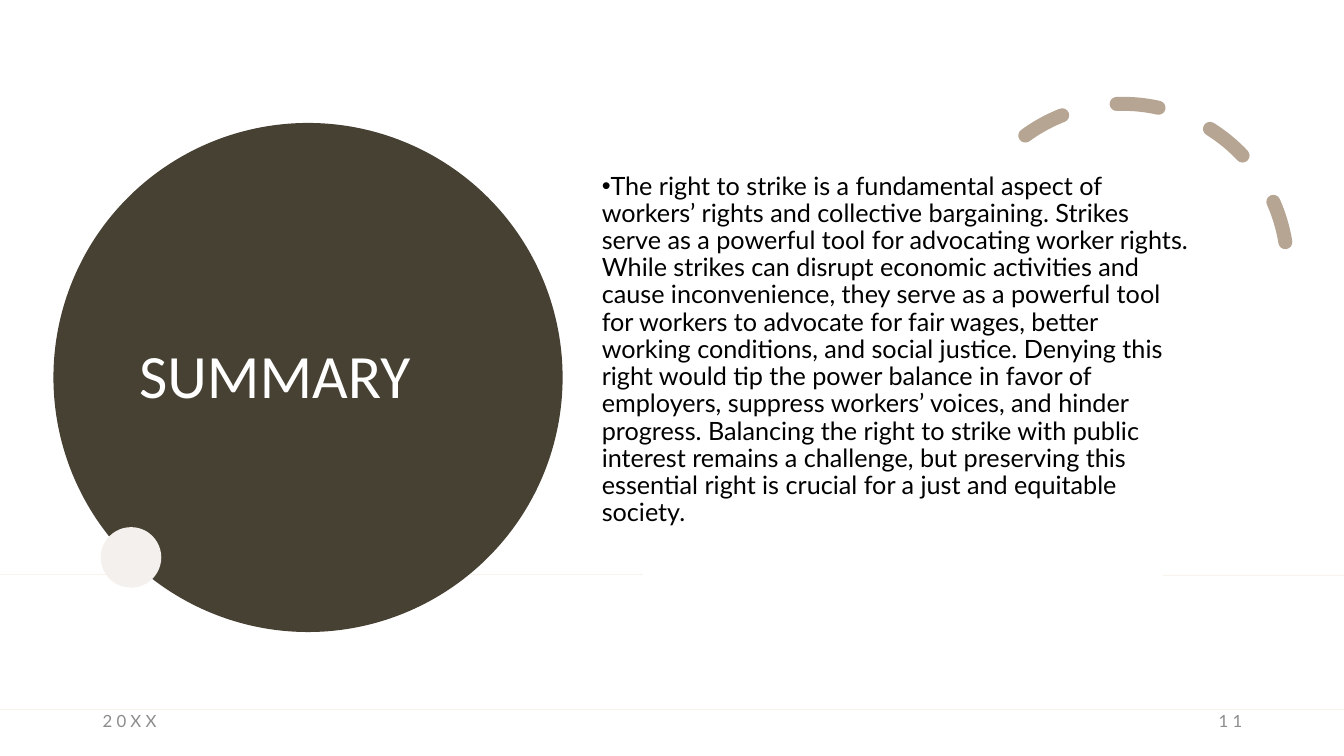
import pptx
import pptx.dml.color
import pptx.enum.dml
import pptx.enum.shapes
import pptx.enum.text
import pptx.oxml
import pptx.oxml.ns
import pptx.util

Inches = pptx.util.Inches
Pt = pptx.util.Pt
ALIGN = pptx.enum.text.PP_ALIGN
ANCHOR = pptx.enum.text.MSO_ANCHOR
SHAPE = pptx.enum.shapes.MSO_SHAPE

COLORS = {
    "rule": "F8F4EC",
    "disc": "474134",
    "dot": "F4F0ED",
    "arc": "B6A592",
    "title": "FFFFFF",
    "body": "000000",
    "footer": "8C8C8C",
}
SUMMARY = (
    "The right to strike is a fundamental aspect of workers’ rights and collective bargaining. "
    "Strikes serve as a powerful tool for advocating worker rights. While strikes can disrupt "
    "economic activities and cause inconvenience, they serve as a powerful tool for workers to "
    "advocate for fair wages, better working conditions, and social justice. Denying this right "
    "would tip the power balance in favor of employers, suppress workers’ voices, and hinder "
    "progress. Balancing the right to strike with public interest remains a challenge, but "
    "preserving this essential right is crucial for a just and equitable society."
)


def rgb(name):
    return pptx.dml.color.RGBColor.from_string(COLORS[name])


def write_text(shape, text, *, size, color, font="Lato", align=ALIGN.LEFT, anchor=ANCHOR.MIDDLE,
               line_spacing=1.0, before=0, after=0, tracking=0):
    """Fill a shape with one formatted paragraph and return that paragraph."""
    frame = shape.text_frame
    frame.word_wrap = True
    frame.auto_size = pptx.enum.text.MSO_AUTO_SIZE.NONE
    frame.vertical_anchor = anchor
    paragraph = frame.paragraphs[0]
    paragraph.alignment = align
    paragraph.line_spacing = line_spacing
    paragraph.space_before = Pt(before)
    paragraph.space_after = Pt(after)
    run = paragraph.add_run()
    run.text = text
    run.font.size = Pt(size)
    run.font.name = font
    run.font.color.rgb = rgb(color)
    if tracking:
        run.font._element.set("spc", str(tracking * 100))
    return paragraph


presentation = pptx.Presentation()
presentation.slide_width = Inches(13.33)
presentation.slide_height = Inches(7.5)
slide = presentation.slides.add_slide(presentation.slide_layouts[5])
shapes = slide.shapes
title = shapes.title

# Horizontal rules
for start, end, y in [(0, 13.33, 7.04), (0, 6.38, 5.7), (11.53, 13.33, 5.71)]:
    rule = shapes.add_connector(pptx.enum.shapes.MSO_CONNECTOR.STRAIGHT,
                                Inches(start), Inches(y), Inches(end), Inches(y))
    rule.line.color.rgb = rgb("rule")
    rule.line.width = Pt(1.25)
    rule._element.spPr.append(pptx.oxml.parse_xml(
        f'<a:effectLst {pptx.oxml.ns.nsdecls("a")}/>'))

# Large disc behind the title, small dot on its edge
for left, top, diameter, color in [(0.53, 1.22, 5.05, "disc"), (1, 5.23, 0.6, "dot")]:
    circle = shapes.add_shape(SHAPE.OVAL, Inches(left), Inches(top),
                              Inches(diameter), Inches(diameter))
    circle.shadow.inherit = False
    circle.fill.solid()
    circle.fill.fore_color.rgb = rgb(color)
    circle.line.fill.background()

# Dashed arc with round caps
arc = shapes.add_shape(SHAPE.ARC, Inches(9.5), Inches(1.03), Inches(3.27), Inches(3.27))
arc.shadow.inherit = False
arc.adjustments[0] = 158.17
arc.adjustments[1] = 17.81
arc.rotation = 330.2
arc.fill.background()
arc.line.color.rgb = rgb("arc")
arc.line.width = Pt(10)
arc.line.dash_style = pptx.enum.dml.MSO_LINE.DASH
arc.line._ln.set("cap", "rnd")

# Title, moved in front of the disc
title.left, title.top = Inches(1.28), Inches(1.53)
title.width, title.height = Inches(3.54), Inches(4.45)
shapes._spTree.append(title._element)
write_text(title, "SUMMARY", size=44, color="title", font="Calibri", line_spacing=0.9)

# Body text with a bullet
body = shapes.add_textbox(Inches(5.87), Inches(1.67), Inches(6.05), Inches(4.3))
body_paragraph = write_text(body, SUMMARY, size=18, color="body", anchor=ANCHOR.TOP,
                            line_spacing=0.9, before=10)
properties = body_paragraph._p.get_or_add_pPr()
properties.set("marL", "0")
properties.set("indent", str(-Inches(0.25)))
for bullet_part in ('buFont {} typeface="Arial"', 'buChar {} char="•"'):
    properties.append(pptx.oxml.parse_xml(
        f'<a:{bullet_part.format(pptx.oxml.ns.nsdecls("a"))}/>'))

# Footer: date and slide number
for left, text, align in [(0.92, "20XX", ALIGN.LEFT), (9.42, "11", ALIGN.RIGHT)]:
    footer = shapes.add_textbox(Inches(left), Inches(6.95), Inches(3), Inches(0.4))
    write_text(footer, text, size=12, color="footer", align=align, after=6, tracking=3)

presentation.save("out.pptx")
